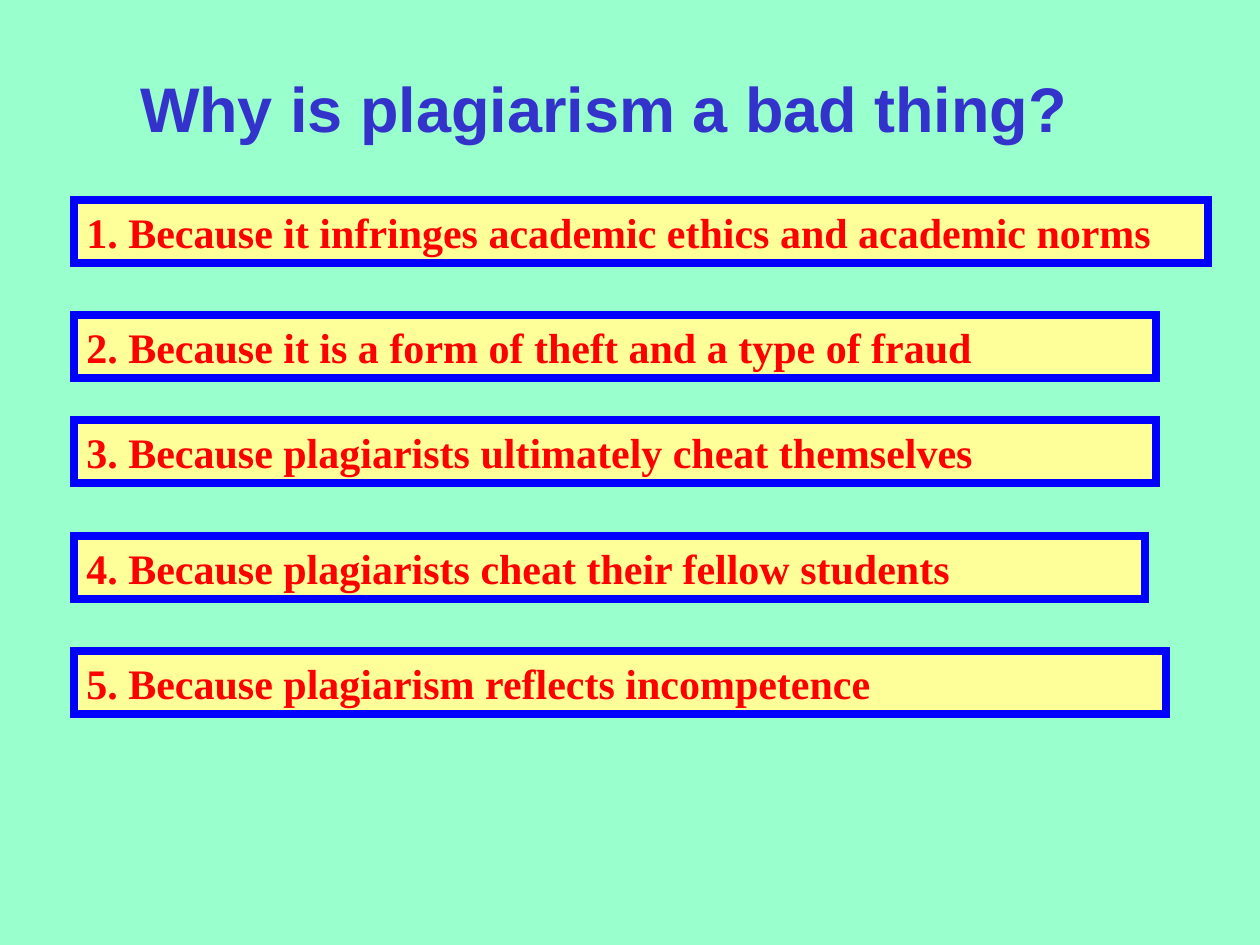
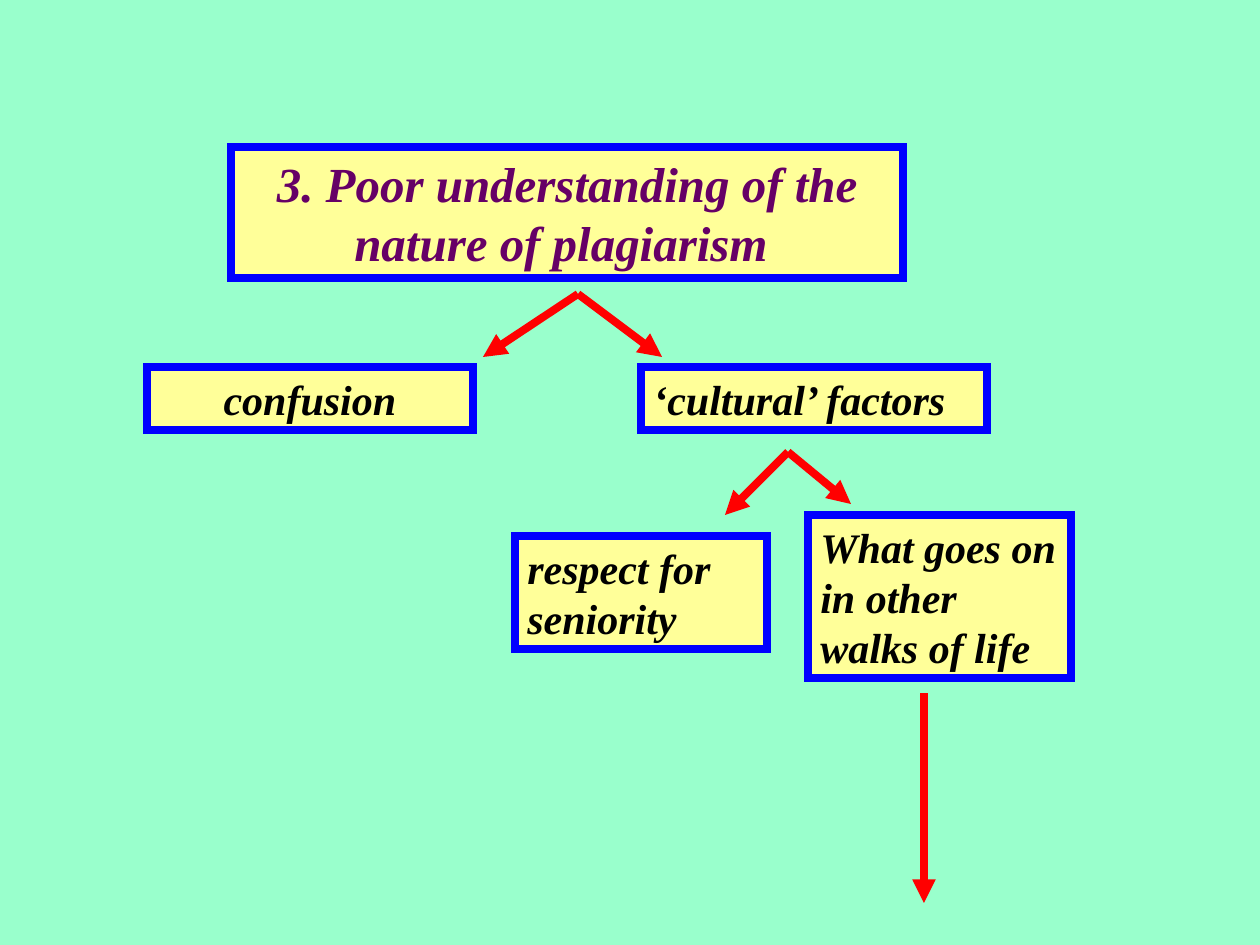
import pptx
import pptx.dml.color
import pptx.enum.shapes
import pptx.enum.text
import pptx.util
from lxml import etree

RGB = pptx.dml.color.RGBColor
ALIGN = pptx.enum.text.PP_ALIGN
KIND = pptx.enum.shapes

MINT = RGB(0x99, 0xFF, 0xCC)
CREAM = RGB(0xFF, 0xFF, 0x99)
BLUE = RGB(0x00, 0x00, 0xFF)
INDIGO = RGB(0x33, 0x33, 0xCC)
RED = RGB(0xFF, 0x00, 0x00)
PLUM = RGB(0x66, 0x00, 0x66)
BLACK = RGB(0x00, 0x00, 0x00)

SANS, SERIF = "Arial", "Times New Roman"
STROKE = pptx.util.Pt(4.5)
DPI = 126
PAGE = (0, 0, 1260, 945)
TITLE_ONLY = 5
DRAW = "{http://schemas.openxmlformats.org/drawingml/2006/main}"

REASONS = [
    (0, 1134, "1. Because it infringes academic ethics and academic norms"),
    (115, 1082, "2. Because it is a form of theft and a type of fraud"),
    (220, 1082, "3. Because plagiarists ultimately cheat themselves"),
    (336, 1071, "4. Because plagiarists cheat their fellow students"),
    (451, 1092, "5. Because plagiarism reflects incompetence"),
]
CAUSES = [
    ((147, 367, 326, 63), "confusion", ALIGN.CENTER),
    ((641, 367, 346, 63), "‘cultural’ factors", ALIGN.LEFT),
    ((515, 536, 252, 113), "respect for seniority", ALIGN.LEFT),
    ((808, 515, 263, 163), "What goes on in other walks of life", ALIGN.LEFT),
]
FORKS = [
    ((578, 294), [(483, 357), (662, 357)]),
    ((788, 452), [(725, 515), (851, 504)]),
    ((924, 693), [(924, 903)]),
]


def px(count):
    return pptx.util.Inches(count / DPI)


def write(shape, text, size=24, font=SERIF, color=BLACK, italic=False, align=ALIGN.LEFT):
    frame = shape.text_frame
    frame.word_wrap = True
    frame.auto_size = pptx.enum.text.MSO_AUTO_SIZE.NONE
    frame.vertical_anchor = pptx.enum.text.MSO_ANCHOR.TOP
    line = frame.paragraphs[0]
    line.alignment = align
    run = line.add_run()
    run.text = text
    run.font.name = font
    run.font.size = pptx.util.Pt(size)
    run.font.bold = True
    run.font.italic = italic
    run.font.color.rgb = color


def frame_box(shape):
    """Give a shape the cream fill and the sharp-cornered blue border."""
    shape.fill.solid()
    shape.fill.fore_color.rgb = CREAM
    shape.line.color.rgb = BLUE
    shape.line.width = STROKE
    edge = shape.line._get_or_add_ln()
    etree.SubElement(edge, DRAW + "miter", lim="800000")


def add_title(slide, box, text, **look):
    title = slide.shapes.title
    title.left, title.top, title.width, title.height = map(px, box)
    write(title, text, align=ALIGN.CENTER, **look)
    return title


def add_card(slide, box, text, **look):
    card = slide.shapes.add_shape(KIND.MSO_SHAPE.RECTANGLE, *map(px, box))
    card.shadow.inherit = False
    frame_box(card)
    write(card, text, **look)


def add_arrow(slide, start, end):
    arrow = slide.shapes.add_connector(
        KIND.MSO_CONNECTOR.STRAIGHT, *map(px, start + end))
    arrow.line.color.rgb = RED
    arrow.line.width = STROKE
    etree.SubElement(arrow.line._get_or_add_ln(), DRAW + "tailEnd", type="triangle")
    etree.SubElement(arrow._element.spPr, DRAW + "effectLst")


def add_list(slide, box):
    left, top, _, high = box
    for drop, wide, text in REASONS:
        add_card(slide, (left, top + drop, wide, high), text, color=RED)


def add_tree(slide, box):
    left, top = box[:2]
    for (x, y, wide, high), text, align in CAUSES:
        add_card(slide, (left + x, top + y, wide, high), text, italic=True, align=align)
    for (x, y), ends in FORKS:
        for end_x, end_y in ends:
            add_arrow(slide, (left + x, top + y), (left + end_x, top + end_y))


def main():
    deck = pptx.Presentation()
    deck.slide_width, deck.slide_height = map(px, PAGE[2:])
    back = deck.slide_master.background.fill
    back.solid()
    back.fore_color.rgb = MINT
    layout = deck.slide_layouts[TITLE_ONLY]

    slide = deck.slides.add_slide(layout)
    add_title(slide, (84, 63, 1040, 88), "Why is plagiarism a bad thing?",
              size=36, font=SANS, color=INDIGO)
    add_list(slide, (74, 200, 1134, 63))

    slide = deck.slides.add_slide(layout)
    head = add_title(slide, (231, 147, 672, 131),
                     "3. Poor understanding of the nature of plagiarism ",
                     size=28, color=PLUM, italic=True)
    frame_box(head)
    add_tree(slide, PAGE)

    deck.save("out.pptx")


if __name__ == "__main__":
    main()
